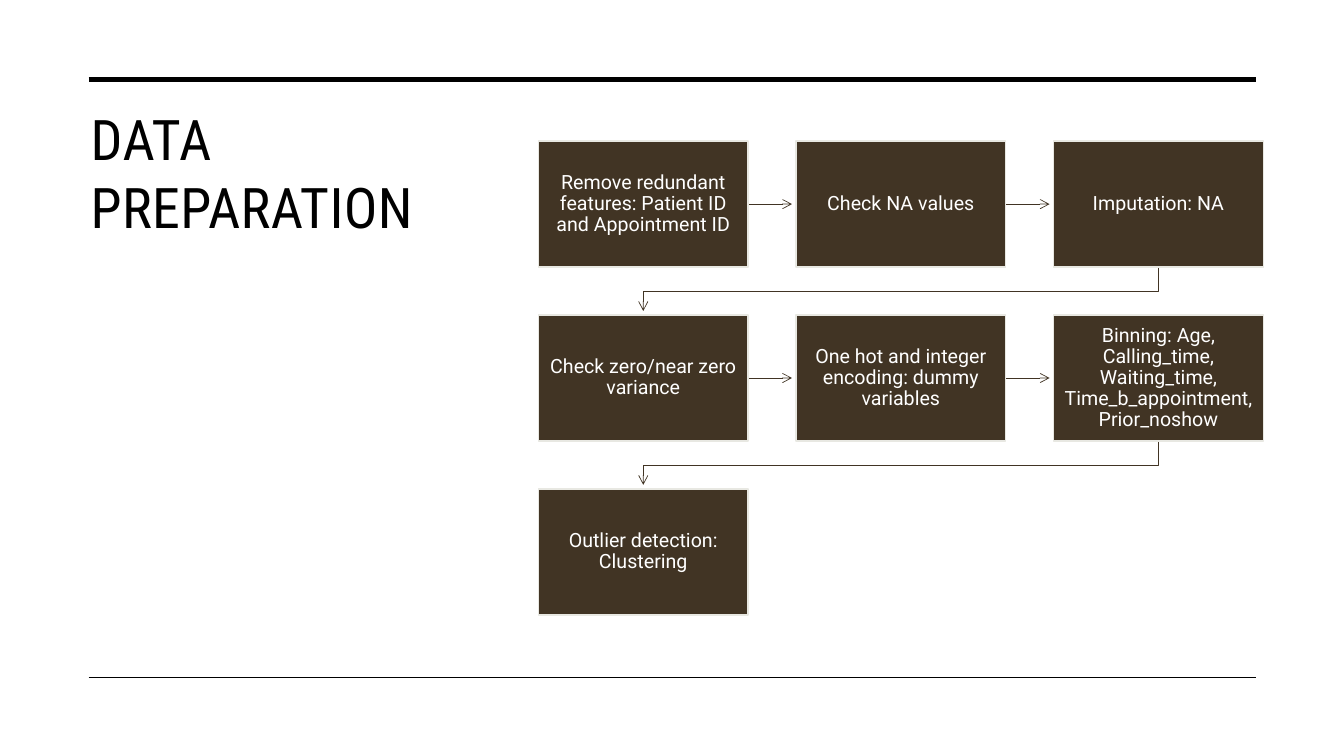
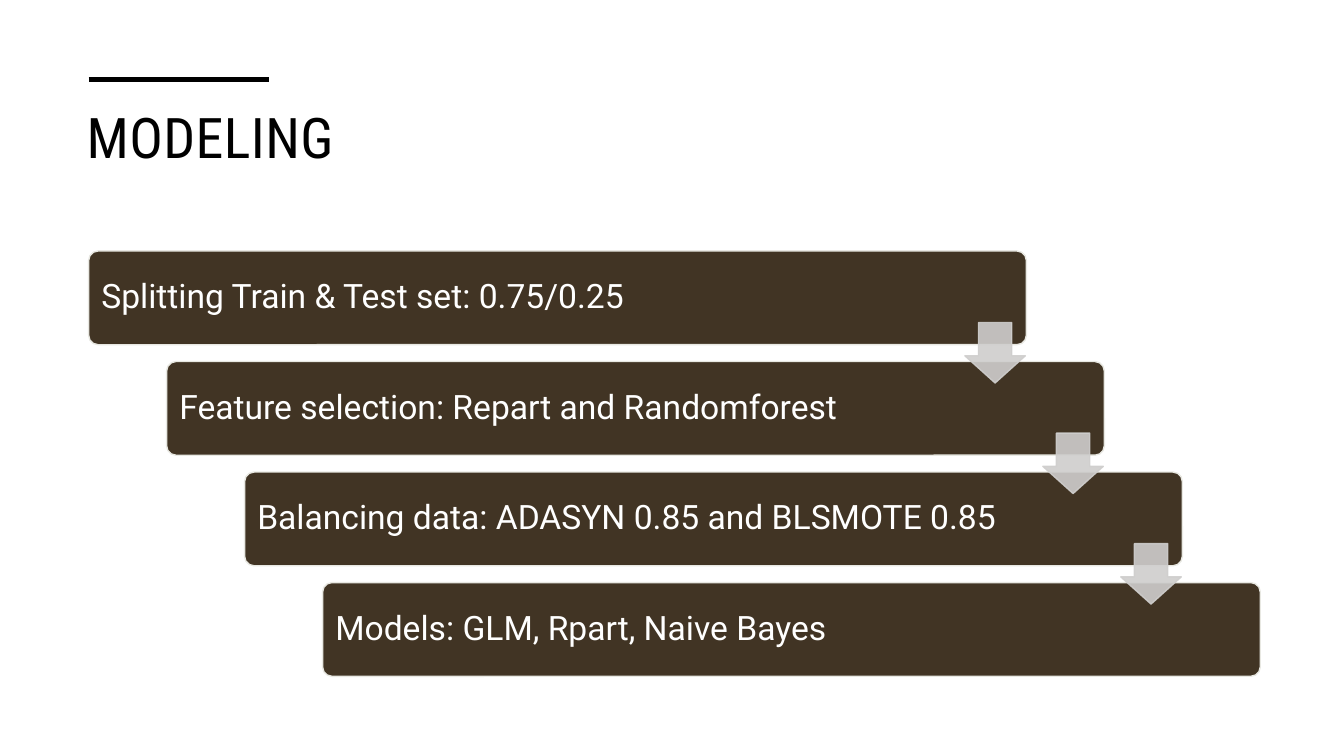
from dataclasses import dataclass
from itertools import pairwise

from lxml.etree import SubElement
from pptx import Presentation
from pptx.dml.color import RGBColor
from pptx.enum.shapes import MSO_CONNECTOR as Connector
from pptx.enum.shapes import MSO_SHAPE as Preset
from pptx.enum.text import MSO_ANCHOR as Anchor
from pptx.enum.text import MSO_AUTO_SIZE as AutoSize
from pptx.enum.text import PP_ALIGN as Align
from pptx.oxml.ns import qn
from pptx.util import Inches, Pt


@dataclass(frozen=True)
class Theme:
    ink: RGBColor = RGBColor.from_string("000000")
    brown: RGBColor = RGBColor.from_string("413424")
    edge: RGBColor = RGBColor.from_string("E8E8E2")
    arrow: RGBColor = RGBColor.from_string("CFCECD")
    white: RGBColor = RGBColor.from_string("FFFFFF")
    title_font: str = "Roboto Condensed"
    body_font: str = "Roboto"
    title_size: int = 40
    step_size: int = 14
    stage_size: int = 24
    heavy_rule: float = 3.5
    thin_rule: float = 1
    flow_line: float = 0.5


@dataclass(frozen=True)
class Box:
    left: float
    top: float
    width: float
    height: float

    @property
    def right(self) -> float:
        return self.left + self.width

    @property
    def bottom(self) -> float:
        return self.top + self.height

    @property
    def center(self) -> float:
        return self.left + self.width / 2

    @property
    def middle(self) -> float:
        return self.top + self.height / 2

    def inches(self) -> list:
        return [Inches(v) for v in (self.left, self.top, self.width, self.height)]


THEME = Theme()
RULE_LEFT, RULE_RIGHT, RULE_TOP, RULE_BOTTOM = 0.88, 12.46, 0.79, 6.72

# Data preparation: a grid read row by row
STEPS = (
    "Remove redundant features: Patient ID and Appointment ID",
    "Check NA values",
    "Imputation: NA",
    "Check zero/near zero variance",
    "One hot and integer encoding: dummy variables",
    "Binning: Age, Calling_time, Waiting_time, Time_b_appointment, Prior_noshow",
    "Outlier detection: Clustering",
)
COLUMNS = 3
FIRST_STEP = Box(5.34, 1.4, 2.08, 1.25)
STEP_DX, STEP_DY = (10.45 - 5.34) / 2, (4.85 - 1.4) / 2
TIP_GAP = 0.04

# Modeling: a staircase of bars
STAGES = (
    "Splitting Train & Test set: 0.75/0.25",
    "Feature selection: Repart and Randomforest",
    "Balancing data: ADASYN 0.85 and BLSMOTE 0.85",
    "Models: GLM, Rpart, Naive Bayes",
)
FIRST_STAGE = Box(0.88, 2.49, 9.3, 0.93)
STAGE_DX, STAGE_DY = (3.2 - 0.88) / 3, (5.78 - 2.49) / 3
ARROW_SIZE = 0.6


def shifted(box: Box, dx: float, dy: float) -> Box:
    return Box(box.left + dx, box.top + dy, box.width, box.height)


def draw_title(slide, text: str, box: Box) -> None:
    title = slide.shapes.title
    title.left, title.top, title.width, title.height = box.inches()
    frame = title.text_frame
    frame.text = text
    frame.word_wrap = True
    frame.auto_size = AutoSize.NONE
    frame.vertical_anchor = Anchor.TOP
    paragraph = frame.paragraphs[0]
    paragraph.alignment = Align.LEFT
    run = paragraph.runs[0]
    run.font.name, run.font.size = THEME.title_font, Pt(THEME.title_size)
    run.font.color.rgb = THEME.ink
    run.font._element.set("spc", "30")


def draw_line(slide, start: tuple, end: tuple, color: RGBColor, weight: float):
    line = slide.shapes.add_connector(
        Connector.STRAIGHT, *(Inches(v) for v in (*start, *end)))
    line.line.color.rgb, line.line.width = color, Pt(weight)
    SubElement(line._element.spPr, qn("a:effectLst"))
    return line


def draw_rule(slide, y: float, right: float, weight: float) -> None:
    draw_line(slide, (RULE_LEFT, y), (right, y), THEME.ink, weight)


def draw_block(slide, preset: Preset, box: Box, fill: RGBColor, edge: RGBColor):
    block = slide.shapes.add_shape(preset, *box.inches())
    block.shadow.inherit = False
    block.fill.solid()
    block.fill.fore_color.rgb = fill
    block.line.color.rgb, block.line.width = edge, Pt(1)
    return block


def write_label(block, text: str, size: int, align: Align) -> None:
    frame = block.text_frame
    frame.text = text
    frame.word_wrap = True
    frame.vertical_anchor = Anchor.MIDDLE
    frame.margin_left = frame.margin_right = Inches(0.1)
    frame.margin_top = frame.margin_bottom = Inches(0.1)
    paragraph = frame.paragraphs[0]
    paragraph.alignment, paragraph.line_spacing = align, 0.9
    font = paragraph.runs[0].font
    font.name, font.size = THEME.body_font, Pt(size)
    font.color.rgb = THEME.white


def add_arrowhead(flow) -> None:
    SubElement(flow.line._get_or_add_ln(), qn("a:tailEnd"), type="arrow")


def draw_flow(slide, source: Box, target: Box) -> None:
    """Go straight along a row, or bend down to the start of the next one."""
    if source.top == target.top:
        flow = draw_line(slide, (source.right, source.middle),
                         (target.left - TIP_GAP, target.middle),
                         THEME.brown, THEME.flow_line)
    else:
        turn = (source.bottom + target.top) / 2
        start, *bends = [
            (Inches(x), Inches(y)) for x, y in (
                (source.center, source.bottom), (source.center, turn),
                (target.center, turn), (target.center, target.top - TIP_GAP))]
        builder = slide.shapes.build_freeform(*start)
        builder.add_line_segments(bends, close=False)
        flow = builder.convert_to_shape()
        flow.shadow.inherit = False
        flow.fill.background()
        flow.line.color.rgb, flow.line.width = THEME.brown, Pt(THEME.flow_line)
    add_arrowhead(flow)


def draw_down_arrow(slide, bar: Box) -> None:
    box = Box(bar.right - 0.61, bar.top + 0.71, ARROW_SIZE, ARROW_SIZE)
    arrow = draw_block(slide, Preset.DOWN_ARROW, box, THEME.arrow, THEME.arrow)
    arrow.adjustments[0], arrow.adjustments[1] = 0.55, 0.45
    for color in arrow._element.spPr.iter(qn("a:srgbClr")):
        SubElement(color, qn("a:alpha"), val="90000")


def build_preparation(slide) -> None:
    draw_title(slide, "DATA PREPARATION", Box(0.8, 0.99, 4, 4.82))
    draw_rule(slide, RULE_TOP, RULE_RIGHT, THEME.heavy_rule)
    draw_rule(slide, RULE_BOTTOM, RULE_RIGHT, THEME.thin_rule)
    boxes = [shifted(FIRST_STEP, i % COLUMNS * STEP_DX, i // COLUMNS * STEP_DY)
             for i in range(len(STEPS))]
    for source, target in pairwise(boxes):
        draw_flow(slide, source, target)
    for text, box in zip(STEPS, boxes):
        step = draw_block(slide, Preset.RECTANGLE, box, THEME.brown, THEME.edge)
        write_label(step, text, THEME.step_size, Align.CENTER)


def build_modeling(slide) -> None:
    draw_title(slide, "MODELING", Box(0.76, 0.97, 11.81, 1.15))
    draw_rule(slide, RULE_TOP, 2.67, THEME.heavy_rule)
    bars = [shifted(FIRST_STAGE, i * STAGE_DX, i * STAGE_DY)
            for i in range(len(STAGES))]
    for text, bar in zip(STAGES, bars):
        stage = draw_block(slide, Preset.ROUNDED_RECTANGLE, bar,
                           THEME.brown, THEME.edge)
        stage.adjustments[0] = 0.1
        write_label(stage, text, THEME.stage_size, Align.LEFT)
    for bar in bars[:-1]:
        draw_down_arrow(slide, bar)


def main() -> None:
    deck = Presentation()
    deck.slide_width, deck.slide_height = Inches(13.33), Inches(7.5)
    title_only = deck.slide_layouts[5]
    for build in (build_preparation, build_modeling):
        build(deck.slides.add_slide(title_only))
    deck.save("out.pptx")


if __name__ == "__main__":
    main()
